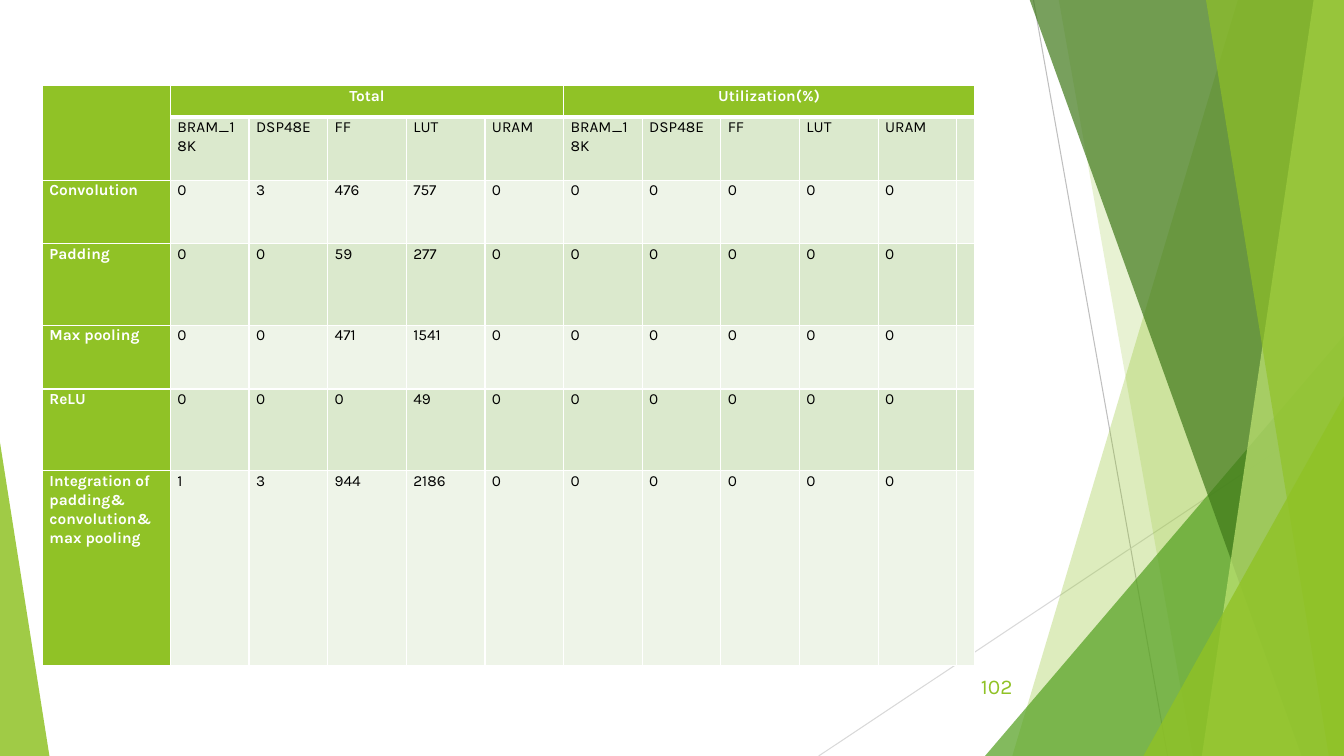
import pptx
import pptx.util
import pptx.dml.color
import pptx.enum.shapes
import pptx.enum.text
import pptx.oxml
import pptx.oxml.ns

Inches = pptx.util.Inches
Pt = pptx.util.Pt
RGBColor = pptx.dml.color.RGBColor
qn = pptx.oxml.ns.qn
PP_ALIGN = pptx.enum.text.PP_ALIGN

WHITE = RGBColor(0xFF, 0xFF, 0xFF)
BLACK = RGBColor(0, 0, 0)
GREEN = RGBColor(0x90, 0xC2, 0x26)
MID_GREEN = RGBColor(0x54, 0xA0, 0x21)
DARK_GREEN = RGBColor(0x3F, 0x78, 0x19)
LIGHT_GREEN = RGBColor(0xC0, 0xE4, 0x74)
BAND_DARK = RGBColor(0xDB, 0xE9, 0xCD)
BAND_LIGHT = RGBColor(0xEE, 0xF4, 0xE8)
GREY = RGBColor(0xBF, 0xBF, 0xBF)
PALE_GREY = RGBColor(0xD9, 0xD9, 0xD9)
FONT = "Karla"
WIDTH, HEIGHT = 13.33, 7.5

presentation = pptx.Presentation()
presentation.slide_width = Inches(WIDTH)
presentation.slide_height = Inches(HEIGHT)
slide = presentation.slides.add_slide(presentation.slide_layouts[6])


def write(paragraph, text, paragraph_format, font_format):
    run = paragraph.add_run()
    run.text = text
    for name, value in paragraph_format.items():
        setattr(paragraph, name, value)
    color = font_format["color"]
    for name, value in font_format.items():
        if name != "color":
            setattr(run.font, name, value)
    run.font.color.rgb = color


def add_border(cell, side, width):
    line = pptx.oxml.parse_xml(
        f'<a:{side} xmlns:a="http://schemas.openxmlformats.org/drawingml/2006/main" '
        f'w="{Pt(width)}"><a:solidFill><a:srgbClr val="{WHITE}"/></a:solidFill></a:{side}>')
    cell._tc.get_or_add_tcPr().append(line)


# Thin background lines
for start, end, color in [((10.25, 0), (11.58, HEIGHT), GREY),
                          ((WIDTH, 4.03), (8.12, HEIGHT), PALE_GREY)]:
    connector = slide.shapes.add_connector(
        pptx.enum.shapes.MSO_CONNECTOR.STRAIGHT,
        *[Inches(value) for value in start + end])
    connector.line.color.rgb = color
    connector.line.width = Pt(0.75)
    connector._element.spPr.append(pptx.oxml.parse_xml(
        '<a:effectLst xmlns:a="http://schemas.openxmlformats.org/drawingml/2006/main"/>'))

# Translucent facets: a band is (top x, bottom x), a triangle is (left, top, width, height, apex)
facets = [
    ((12.28, 10.04), GREEN, 30),
    ((10.5, 11.83), GREEN, 20),
    ((9.77, 3.33, 3.56, 4.17, 1), MID_GREEN, 72),
    ((10.21, 12.91), DARK_GREEN, 70),
    ((13.03, 11.92), LIGHT_GREEN, 70),
    ((11.96, 13.18), GREEN, 65),
    ((11.34, 3.93, 1.99, 3.57, 1), GREEN, 80),
    ((0, 4.39, 0.49, 3.11, 0), GREEN, 85),
]
for geometry, color, opacity in facets:
    if len(geometry) == 2:
        top_x, bottom_x = geometry
        corners = [(Inches(x), Inches(y)) for x, y in
                   [(top_x, -0.01), (WIDTH, -0.01), (WIDTH, HEIGHT), (bottom_x, HEIGHT)]]
        builder = slide.shapes.build_freeform(*corners[0])
        builder.add_line_segments(corners[1:], close=True)
        shape = builder.convert_to_shape()
    else:
        *box, apex = geometry
        shape = slide.shapes.add_shape(
            pptx.enum.shapes.MSO_SHAPE.ISOSCELES_TRIANGLE, *[Inches(value) for value in box])
        shape.adjustments[0] = apex
    shape.shadow.inherit = False
    shape.line.fill.background()
    shape.fill.solid()
    shape.fill.fore_color.rgb = color
    fill_color = shape._element.spPr.find(qn("a:solidFill")).find(qn("a:srgbClr"))
    pptx.oxml.ns  # namespace helpers
    alpha = fill_color.makeelement(qn("a:alpha"), {"val": str(opacity * 1000)})
    fill_color.append(alpha)

# Resource table
resources = ["BRAM_18K", "DSP48E", "FF", "LUT", "URAM"]
no_use = ["0"] * 5
rows = [
    ["", "Total", "", "", "", "", "Utilization(%)", "", "", "", "", ""],
    ["", *resources, *resources, ""],
    ["Convolution", "0", "3", "476", "757", "0", *no_use, ""],
    ["Padding", "0", "0", "59", "277", "0", *no_use, ""],
    ["Max pooling", "0", "0", "471", "1541", "0", *no_use, ""],
    ["ReLU", "0", "0", "0", "49", "0", *no_use, ""],
    ["Integration of padding& convolution& max pooling",
     "1", "3", "944", "2186", "0", *no_use, ""],
]
column_widths = [1.27] + [0.78] * 10 + [0.13]
row_heights = [0.31, 0.63, 0.63, 0.81, 0.63, 0.81, 1.93]
table = slide.shapes.add_table(len(rows), len(column_widths), Inches(0.42), Inches(0.85),
                               Inches(9.2), Inches(5.75)).table
for column, width in zip(table.columns, column_widths):
    column.width = Inches(width)
for row, height in zip(table.rows, row_heights):
    row.height = Inches(height)

cell_format = {"margin_left": Inches(0.07), "margin_right": Inches(0.07),
               "margin_top": 0, "margin_bottom": 0}
for row_index, texts in enumerate(rows):
    for column_index, text in enumerate(texts):
        cell = table.cell(row_index, column_index)
        is_heading = row_index == 0 or column_index == 0
        for name, value in cell_format.items():
            setattr(cell, name, value)
        for side in ("lnL", "lnR", "lnT", "lnB"):
            thick = (row_index, side) in [(0, "lnB"), (1, "lnT")] and column_index > 0
            add_border(cell, side, 3 if thick else 1)
        cell.fill.solid()
        band = BAND_DARK if row_index % 2 else BAND_LIGHT
        cell.fill.fore_color.rgb = GREEN if is_heading else band
        if text:
            write(cell.text_frame.paragraphs[0], text,
                  {"alignment": PP_ALIGN.LEFT if row_index else PP_ALIGN.CENTER,
                   "line_spacing": 1.07, "space_after": Pt(8)},
                  {"name": FONT, "size": Pt(11), "bold": is_heading,
                   "color": WHITE if is_heading else BLACK})

# Merged headings
for first, last in [((0, 0), (1, 0)), ((0, 1), (0, 5)), ((0, 6), (0, 11))]:
    table.cell(*first).merge(table.cell(*last))

# Slide number
number_box = slide.shapes.add_textbox(Inches(9.39), Inches(6.61), Inches(0.75), Inches(0.4))
number_box.text_frame.word_wrap = True
number_box.text_frame.vertical_anchor = pptx.enum.text.MSO_ANCHOR.MIDDLE
write(number_box.text_frame.paragraphs[0], "102", {"alignment": PP_ALIGN.RIGHT},
      {"name": FONT, "size": Pt(15), "color": GREEN})

presentation.save("out.pptx")
